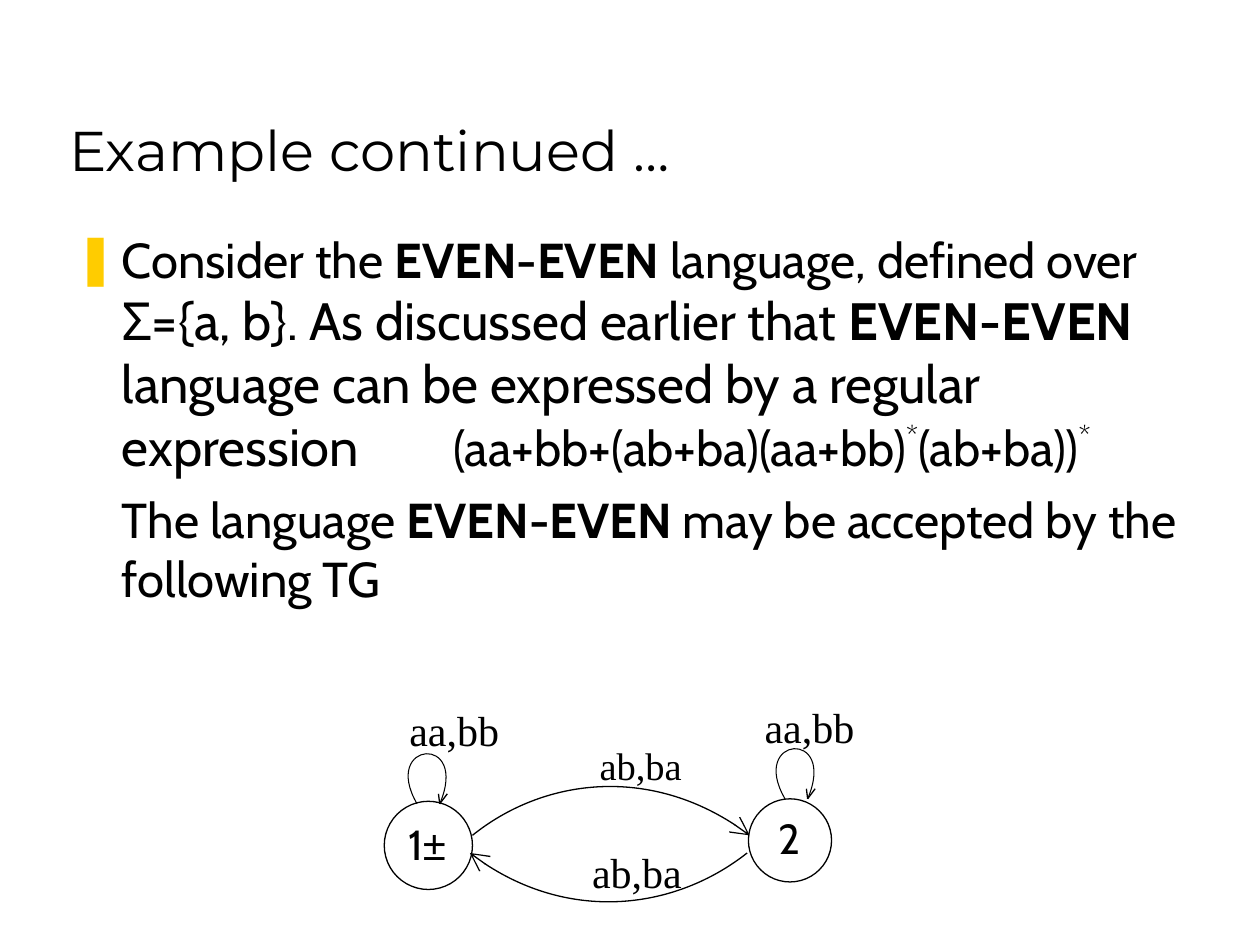
from dataclasses import dataclass
from lxml.etree import SubElement
from pptx import Presentation
from pptx.dml.color import RGBColor
from pptx.enum.shapes import MSO_CONNECTOR, MSO_SHAPE
from pptx.enum.text import MSO_ANCHOR
from pptx.oxml.ns import qn
from pptx.util import Inches, Pt


@dataclass
class Theme:
    ink: RGBColor = RGBColor(0, 0, 0)
    paper: RGBColor = RGBColor(255, 255, 255)
    mark: str = "FFCC00"
    head: str = "Montserrat"
    body: str = "Cabin"
    label: str = "Times New Roman"
    sign: str = "Arial"
    title: int = 32
    large: int = 30
    text: int = 28
    node: int = 24
    small: int = 22
    line: float = 0.75
    thin: float = 0.6


theme = Theme()

TITLE = "Example continued …"
BODY = [
    [
        ("Consider the ", theme.text, ""),
        ("EVEN-EVEN", theme.text, "bold"),
        (" language, defined over ", theme.text, ""),
        ("Σ={a, b}. As discussed earlier that ", theme.large, ""),
        ("EVEN-EVEN", theme.large, "bold"),
        (" language can be expressed by a regular expression \t", theme.large, ""),
        ("(aa+bb+(ab+ba)(aa+bb)", theme.text, ""),
        ("*", theme.text, "super"),
        ("(ab+ba))", theme.text, ""),
        ("*", theme.text, "super"),
    ],
    [
        ("The language ", theme.text, ""),
        ("EVEN-EVEN", theme.text, "bold"),
        (" may be accepted by the following TG", theme.text, ""),
    ],
]
NODES = [
    ("1", "±", (3.05, 6.36, 0.7), (3.14, 6.45)),
    ("2", "", (5.94, 6.34, 0.66), (6.08, 6.4)),
]
ARCS = [
    [(3.75, 6.63), (4.31, 6.18), (5.22, 6.07), (5.95, 6.63)],
    [(5.93, 6.77), (5.36, 7.22), (4.45, 7.33), (3.73, 6.77)],
]
LOOP = [(0, 0), (-0.29, -0.5), (0.42, -0.56), (0.18, 0)]
BARBS = [[(0.18, 0), (0.24, -0.08)], [(0.17, -0.08), (0.18, 0)]]
LOOPS = [(3.31, 6.38), (6.23, 6.34)]
LABELS = [
    ("ab,ba", (4.6, 6.67, 1.09, 0.52), theme.node),
    ("ab,ba", (4.66, 5.84, 1.01, 0.49), theme.small),
    ("aa,bb", (3.15, 5.54, 1.09, 0.52), theme.node),
    ("aa,bb", (5.97, 5.52, 1.09, 0.52), theme.node),
]
INDENT = Inches(0.37)

deck = Presentation()
deck.slide_width, deck.slide_height = Inches(10), Inches(7.5)
slide = deck.slides.add_slide(deck.slide_layouts[6])
shapes = slide.shapes


def add_box(place):
    frame = shapes.add_textbox(*map(Inches, place)).text_frame
    frame.word_wrap = True
    return frame


def set_font(para, name, size=None):
    para.font.name = name
    para.font.color.rgb = theme.ink
    if size:
        para.font.size = Pt(size)


def add_text(text, place, name, size):
    frame = add_box(place)
    para = frame.paragraphs[0]
    para.text = text
    set_font(para, name, size)
    return frame


def style(shape, width):
    shape.line.color.rgb = theme.ink
    shape.line.width = Pt(width)


def add_curve(points, width):
    spots = [(Inches(x), Inches(y)) for x, y in points]
    pen = shapes.build_freeform(*spots[0])
    pen.add_line_segments(spots[1:], close=False)
    shape = pen.convert_to_shape()
    shape.shadow.inherit = False
    style(shape, width)
    shape.fill.background()
    track = next(shape._element.iter(qn("a:path")))
    bend = SubElement(track, qn("a:cubicBezTo"))
    for leg in track.findall(qn("a:lnTo")):
        bend.append(leg[0])
        track.remove(leg)
    return shape


def add_line(points, width):
    ends = [Inches(value) for point in points for value in point]
    line = shapes.add_connector(MSO_CONNECTOR.STRAIGHT, *ends)
    style(line, width)
    SubElement(line._element.spPr, qn("a:effectLst"))


def shift(points, start):
    return [(x + start[0], y + start[1]) for x, y in points]


title = add_text(TITLE, (0.45, 0.25, 8.5, 1.25), theme.head, theme.title)
title.vertical_anchor = MSO_ANCHOR.BOTTOM

for text, sign, (left, top, size), spot in NODES:
    ring = shapes.add_shape(MSO_SHAPE.OVAL, *map(Inches, (left, top, size, size)))
    ring.shadow.inherit = False
    style(ring, theme.line)
    ring.fill.solid()
    ring.fill.fore_color.rgb = theme.paper
    name = add_text(text, (*spot, 0.77, 0.39), theme.body, theme.node)
    if sign:
        run = name.paragraphs[0].add_run()
        run.text = sign
        run.font.name = theme.sign

for arc in ARCS:
    shape = add_curve(arc, theme.line)
    stroke = shape.line._get_or_add_ln()
    SubElement(stroke, qn("a:tailEnd"), type="arrow", w="lg", len="lg")

for start in LOOPS:
    add_curve(shift(LOOP, start), theme.thin)
    for barb in BARBS:
        add_line(shift(barb, start), theme.line)

for text, place, size in LABELS:
    add_text(text, place, theme.label, size)

frame = add_box((0.5, 1.77, 8.97, 4.56))
for index, runs in enumerate(BODY):
    para = frame.add_paragraph() if index else frame.paragraphs[0]
    para.space_before = Pt(7)
    props = para._p.get_or_add_pPr()
    props.set("marL", str(INDENT))
    props.set("indent", str(0 if index else -INDENT))
    if index == 0:
        tint = SubElement(props, qn("a:buClr"))
        SubElement(tint, qn("a:srgbClr"), val=theme.mark)
        SubElement(props, qn("a:buFont"), typeface=theme.sign)
        SubElement(props, qn("a:buChar"), char="❚")
        tabs = SubElement(props, qn("a:tabLst"))
        SubElement(tabs, qn("a:tab"), pos=str(Inches(3)), algn="l")
    set_font(para, theme.body)
    for text, size, kind in runs:
        run = para.add_run()
        run.text = text
        run.font.size = Pt(size)
        if kind == "bold":
            run.font.bold = True
        if kind == "super":
            run.font._element.set("baseline", "40000")

deck.save("out.pptx")
